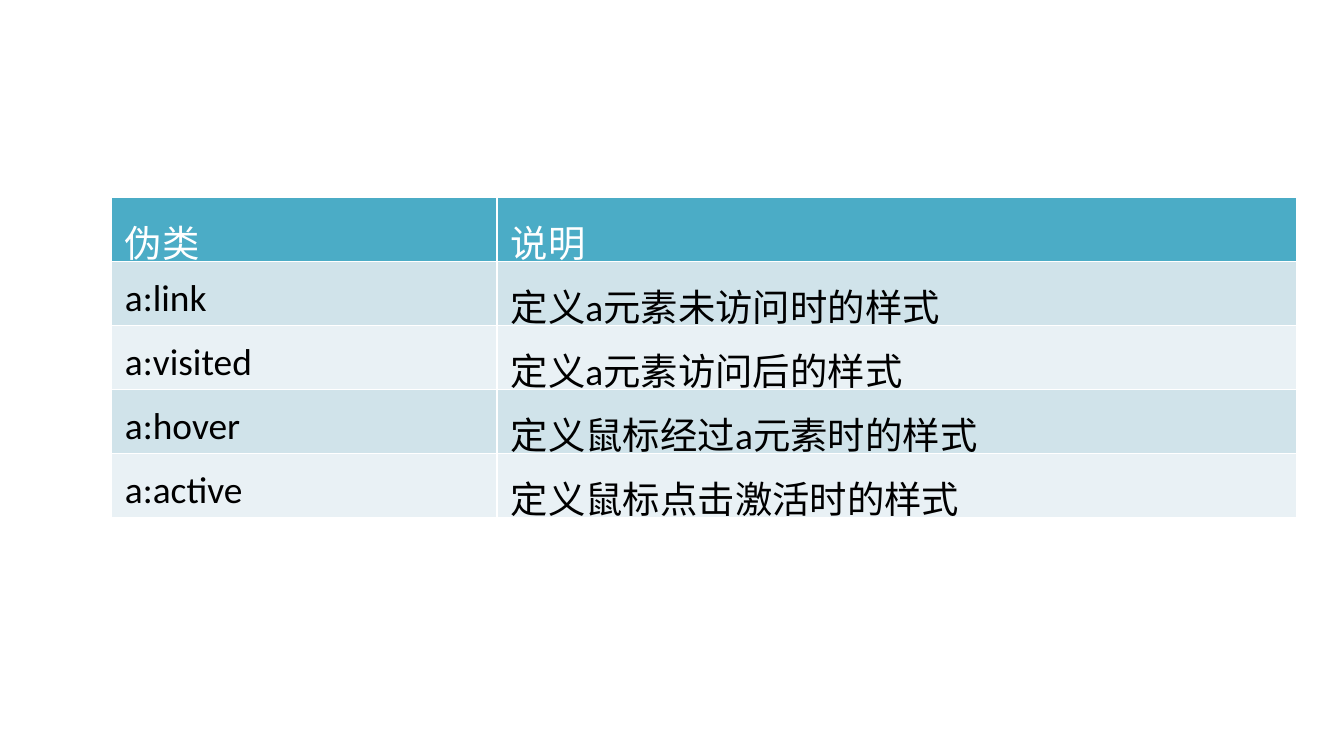
"""Build a slide with a table of the CSS link pseudo-classes."""
from typing import NamedTuple

from pptx import Presentation
from pptx.dml.color import RGBColor
from pptx.oxml import parse_xml
from pptx.oxml.ns import nsdecls
from pptx.table import _Cell as Cell
from pptx.util import Inches, Pt


class PseudoClass(NamedTuple):
    selector: str
    meaning: str


HEADING = PseudoClass("伪类", "说明")
PSEUDO_CLASSES = [
    PseudoClass("a:link", "定义a元素未访问时的样式"),
    PseudoClass("a:visited", "定义a元素访问后的样式"),
    PseudoClass("a:hover", "定义鼠标经过a元素时的样式"),
    PseudoClass("a:active", "定义鼠标点击激活时的样式"),
]
COLUMN_WIDTHS = (2.87, 5.95)
HEADING_FILL = "4BACC6"
BAND_FILLS = ("D0E3EA", "E9F1F5")
WHITE, BLACK = "FFFFFF", "000000"


def color(hex_code: str) -> RGBColor:
    return RGBColor.from_string(hex_code)


def add_borders(cell: Cell) -> None:
    properties = cell._tc.get_or_add_tcPr()
    for position, side in enumerate(("lnL", "lnR", "lnT", "lnB")):
        border = parse_xml(
            f'<a:{side} {nsdecls("a")} w="{Pt(1)}"><a:solidFill>'
            f'<a:srgbClr val="{WHITE}"/></a:solidFill></a:{side}>'
        )
        properties.insert(position, border)


def write_cell(cell: Cell, text: str, fill: str, ink: str) -> None:
    cell.fill.solid()
    cell.fill.fore_color.rgb = color(fill)
    cell.margin_left = cell.margin_right = Inches(0.1)
    cell.margin_top = Inches(0.04)
    cell.margin_bottom = Inches(-0.05)
    cell.text_frame.text = text
    paragraph = cell.text_frame.paragraphs[0]
    paragraph.line_spacing = 1.2
    font = paragraph.runs[0].font
    font.name = "Calibri"
    font.size = Pt(20)
    font.bold = False
    font.color.rgb = color(ink)
    add_borders(cell)


def main() -> None:
    deck = Presentation()
    deck.slide_width = Inches(10)
    deck.slide_height = deck.slide_width * 9 // 16
    slide = deck.slides.add_slide(deck.slide_layouts[6])
    entries = [HEADING, *PSEUDO_CLASSES]
    table = slide.shapes.add_table(
        len(entries), len(COLUMN_WIDTHS),
        Inches(0.83), Inches(1.47), Inches(sum(COLUMN_WIDTHS)), Inches(2.38),
    ).table
    for column, width in zip(table.columns, COLUMN_WIDTHS):
        column.width = Inches(width)
    for index, (row, entry) in enumerate(zip(table.rows, entries)):
        if index == 0:
            fill, ink = HEADING_FILL, WHITE
        else:
            fill, ink = BAND_FILLS[(index - 1) % 2], BLACK
        for cell, text in zip(row.cells, entry):
            write_cell(cell, text, fill, ink)
    deck.save("out.pptx")


if __name__ == "__main__":
    main()
